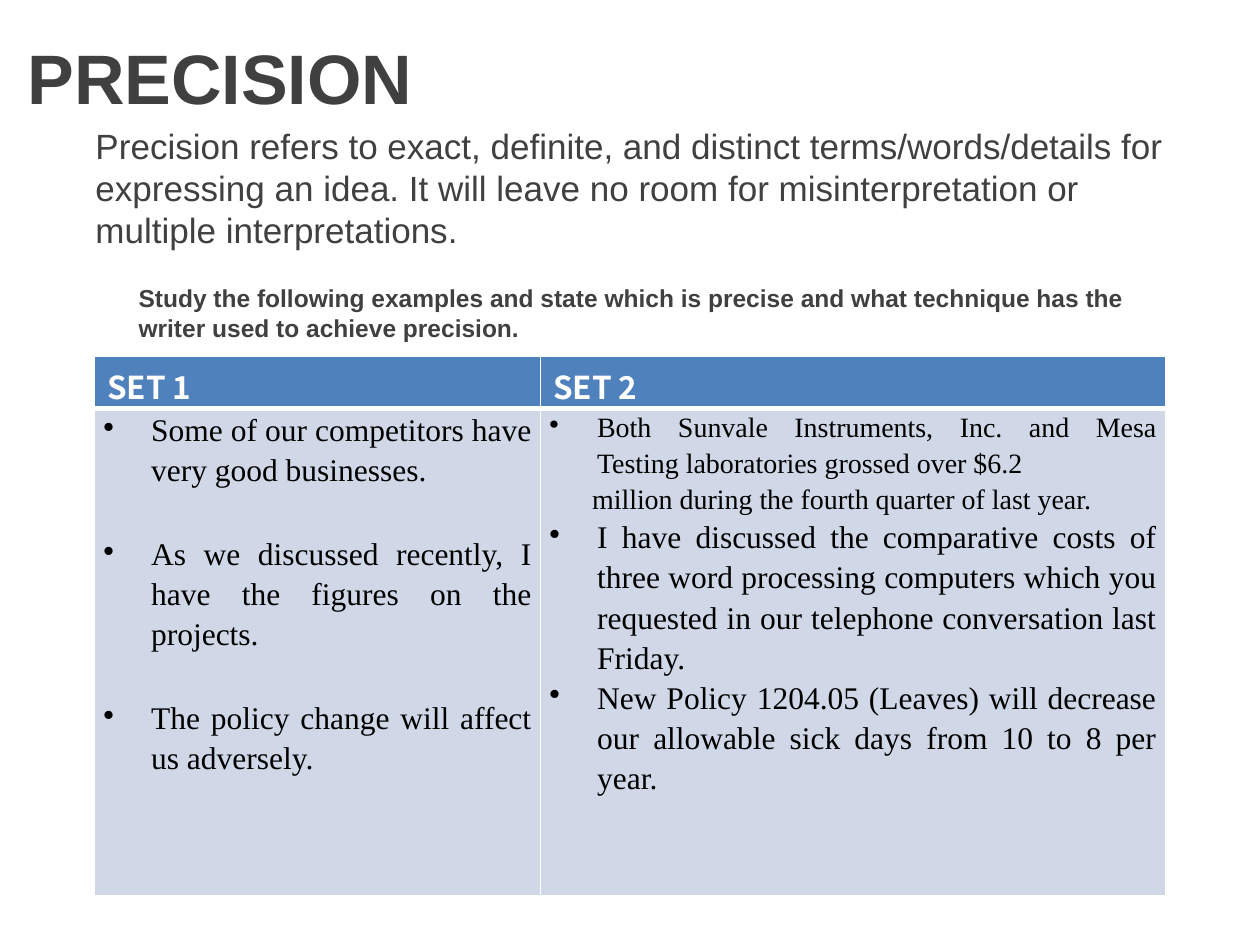
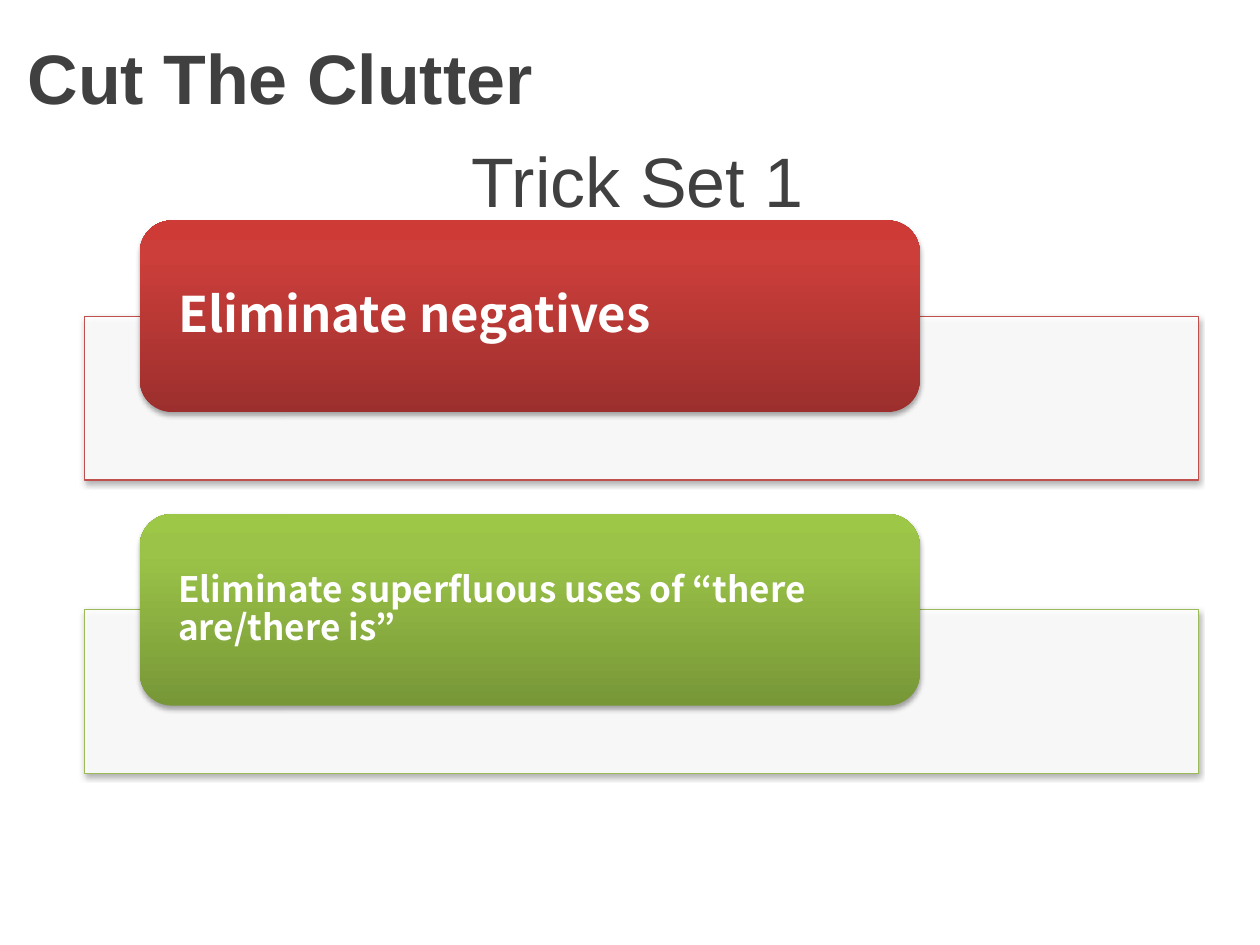
from copy import deepcopy

from lxml import etree
from pptx import Presentation
from pptx.dml.color import RGBColor
from pptx.enum.shapes import MSO_SHAPE
from pptx.enum.text import MSO_ANCHOR, PP_ALIGN
from pptx.oxml.ns import qn
from pptx.util import Inches, Pt

RECTANGLE, ROUNDED = MSO_SHAPE.RECTANGLE, MSO_SHAPE.ROUNDED_RECTANGLE
TOP, MIDDLE = MSO_ANCHOR.TOP, MSO_ANCHOR.MIDDLE
LEFT, CENTER, JUSTIFY = PP_ALIGN.LEFT, PP_ALIGN.CENTER, PP_ALIGN.JUSTIFY

# Shared look
SANS, SERIF, LABEL = "Arial", "Times New Roman", "Noto Sans CJK KR"
GREY, WHITE, BLACK = "404040", "FFFFFF", "000000"
HEADER_BLUE, BODY_BLUE = "4F81BD", "D0D8E8"
TITLE_BOX = (0.12, 0.02, 9.88, 1.17)

# Content of the precision slide
DEFINITION = (
    "Precision refers to exact, definite, and distinct terms/words/details for "
    "expressing an idea. It will leave no room for misinterpretation or "
    "multiple interpretations."
)
TASK = (
    "Study the following examples and state which is precise and what technique "
    "has the writer used to achieve precision."
)
TABLE_BOX = (0.75, 2.83, 8.5, 4.28)
COLUMN_WIDTHS, ROW_HEIGHTS = (3.54, 4.96), (0.41, 3.87)
# Each example: text, size, bulleted, space before
EXAMPLE_SETS = {
    "SET 1": [
        ("Some of our competitors have very good businesses.", 18, True, 0),
        ("As we discussed recently, I\vhave the figures on the\vprojects.", 18, True, 25),
        ("The policy change will affect us adversely.", 18, True, 25),
    ],
    "SET 2": [
        ("Both Sunvale Instruments, Inc. and Mesa\v"
         "Testing laboratories grossed over $6.2", 16, True, 0),
        ("million during the fourth quarter of last year.", 16, False, 0),
        ("I have discussed the comparative costs of\vthree word processing computers "
         "which you requested in our telephone conversation last Friday.", 18, True, 0),
        ("New Policy 1204.05 (Leaves) will decrease our allowable sick days "
         "from 10 to 8 per\vyear.", 18, True, 0),
    ],
}

# Content of the clutter slide: text, size, panel line, gradient from bottom to top
TRICKS = [
    ("Eliminate negatives", 28, "C0504D", ("9C2F2D", "CB3E3A", "CE3B37")),
    ("Eliminate superfluous uses of “there are/there is”", 20, "9BBB59",
     ("779737", "9BC348", "9DC746")),
]
GRADIENT_POSITIONS = (0, 0.8, 1)
FIRST_LABEL_TOP, TRICK_STEP, PANEL_DROP = 1.75, 2.33, 0.76


def colour(code):
    return RGBColor.from_string(code)


def inches(box):
    return [Inches(length) for length in box]


def child(parent, tag, **attributes):
    return etree.SubElement(parent, qn(tag), {k: str(v) for k, v in attributes.items()})


def style(para, font, size, code, bold=False, align=LEFT):
    para.font.name, para.font.size, para.font.bold = font, Pt(size), bold
    para.font.color.rgb = colour(code)
    para.alignment = align


def add_page(deck, title):
    page = deck.slides.add_slide(deck.slide_layouts[5])
    box = page.shapes.title
    box.left, box.top, box.width, box.height = inches(TITLE_BOX)
    box.text_frame.text = title
    box.text_frame.vertical_anchor = MIDDLE
    style(box.text_frame.paragraphs[0], SANS, 40, GREY, bold=True)
    return page


def add_text(page, box, text, size, bold=False, align=LEFT, anchor=TOP, before=0):
    frame = page.shapes.add_textbox(*inches(box)).text_frame
    frame.word_wrap = True
    frame.vertical_anchor = anchor
    para = frame.paragraphs[0]
    para.text = text
    para.space_before = Pt(before)
    style(para, SANS, size, GREY, bold, align)
    return frame


# Table parts
def add_borders(cell, top, bottom):
    properties = cell._tc.get_or_add_tcPr()
    for edge, width in (("L", 1), ("R", 1), ("T", top), ("B", bottom)):
        line = child(properties, "a:ln" + edge, w=Pt(width))
        child(child(line, "a:solidFill"), "a:srgbClr", val=WHITE)


def fill_cell(cell, code, top, bottom):
    add_borders(cell, top, bottom)
    cell.fill.solid()
    cell.fill.fore_color.rgb = colour(code)


def write_examples(cell, examples):
    cell.margin_left = cell.margin_right = Inches(0.07)
    cell.margin_top = cell.margin_bottom = 0
    frame = cell.text_frame
    for number, (text, size, bulleted, before) in enumerate(examples):
        para = frame.add_paragraph() if number else frame.paragraphs[0]
        para.text = text
        para.line_spacing = 1.15
        para.space_before = Pt(before)
        style(para, SERIF, size, BLACK, align=JUSTIFY)
        properties = para._p.get_or_add_pPr()
        properties.set("marL", str(Inches(0.38 if bulleted else 0.34)))
        if bulleted:
            properties.set("indent", str(Inches(-0.38)))
            bullet = etree.Element(qn("a:buChar"), char="•")
            properties.find(qn("a:defRPr")).addprevious(bullet)


def add_example_table(page):
    table = page.shapes.add_table(2, 2, *inches(TABLE_BOX)).table
    for row, height in zip(table.rows, ROW_HEIGHTS):
        row.height = Inches(height)
    for index, (heading, examples) in enumerate(EXAMPLE_SETS.items()):
        table.columns[index].width = Inches(COLUMN_WIDTHS[index])
        header, body = table.cell(0, index), table.cell(1, index)
        header.text = heading
        style(header.text_frame.paragraphs[0], LABEL, 18, WHITE, bold=True)
        fill_cell(header, HEADER_BLUE, 1, 3)
        write_examples(body, examples)
        fill_cell(body, BODY_BLUE, 3, 1)


# Trick parts
def add_shadow(shape):
    effects = child(shape._element.spPr, "a:effectLst")
    shadow = child(effects, "a:outerShdw", blurRad=Pt(3.1), dist=Pt(1.8),
                   dir=5400000, rotWithShape=0)
    child(child(shadow, "a:srgbClr", val=BLACK), "a:alpha", val=35000)


def add_panel(page, top, line_code):
    panel = page.shapes.add_shape(RECTANGLE, *inches((0.67, top, 8.84, 1.3)))
    panel.fill.solid()
    panel.fill.fore_color.rgb = colour(WHITE)
    fill_colour = panel._element.spPr.find(qn("a:solidFill")).find(qn("a:srgbClr"))
    child(fill_colour, "a:alpha", val=90000)
    panel.line.color.rgb = colour(line_code)
    panel.line.width = Pt(0.75)
    add_shadow(panel)


def add_label(page, top, text, size, gradient):
    label = page.shapes.add_shape(ROUNDED, *inches((1.11, top, 6.19, 1.52)))
    label.fill.gradient()
    label.fill.gradient_angle = 90
    stop_list = label._element.spPr.find(".//" + qn("a:gsLst"))
    stop_list.append(deepcopy(stop_list[0]))
    for stop, position, code in zip(label.fill.gradient_stops, GRADIENT_POSITIONS, gradient):
        stop.position = position
        stop.color.rgb = colour(code)
    label.line.fill.background()
    add_shadow(label)
    frame = label.text_frame
    frame.word_wrap = True
    frame.vertical_anchor = MIDDLE
    frame.margin_left = frame.margin_right = Inches(0.23)
    frame.margin_top = frame.margin_bottom = 0
    para = frame.paragraphs[0]
    para.text = text
    para.line_spacing = 0.9
    style(para, LABEL, size, WHITE, bold=True)


def build_precision(deck):
    page = add_page(deck, "PRECISION")
    add_text(page, (0.66, 1, 8.84, 0.97), DEFINITION, 20, anchor=MIDDLE, before=4)
    task = add_text(page, (0.67, 2.2, 8.84, 0.6), TASK, 14, bold=True)
    task.margin_left = Inches(0.43)
    add_example_table(page)


def build_clutter(deck):
    page = add_page(deck, "Cut The Clutter")
    add_text(page, (0.64, 1.04, 8.84, 0.74), "Trick Set 1", 40, align=CENTER)
    for index, (text, size, line_code, gradient) in enumerate(TRICKS):
        top = FIRST_LABEL_TOP + index * TRICK_STEP
        add_panel(page, top + PANEL_DROP, line_code)
        add_label(page, top, text, size, gradient)


def main():
    deck = Presentation()
    deck.slide_width, deck.slide_height = Inches(10), Inches(7.5)
    build_precision(deck)
    build_clutter(deck)
    deck.save("out.pptx")


if __name__ == "__main__":
    main()
